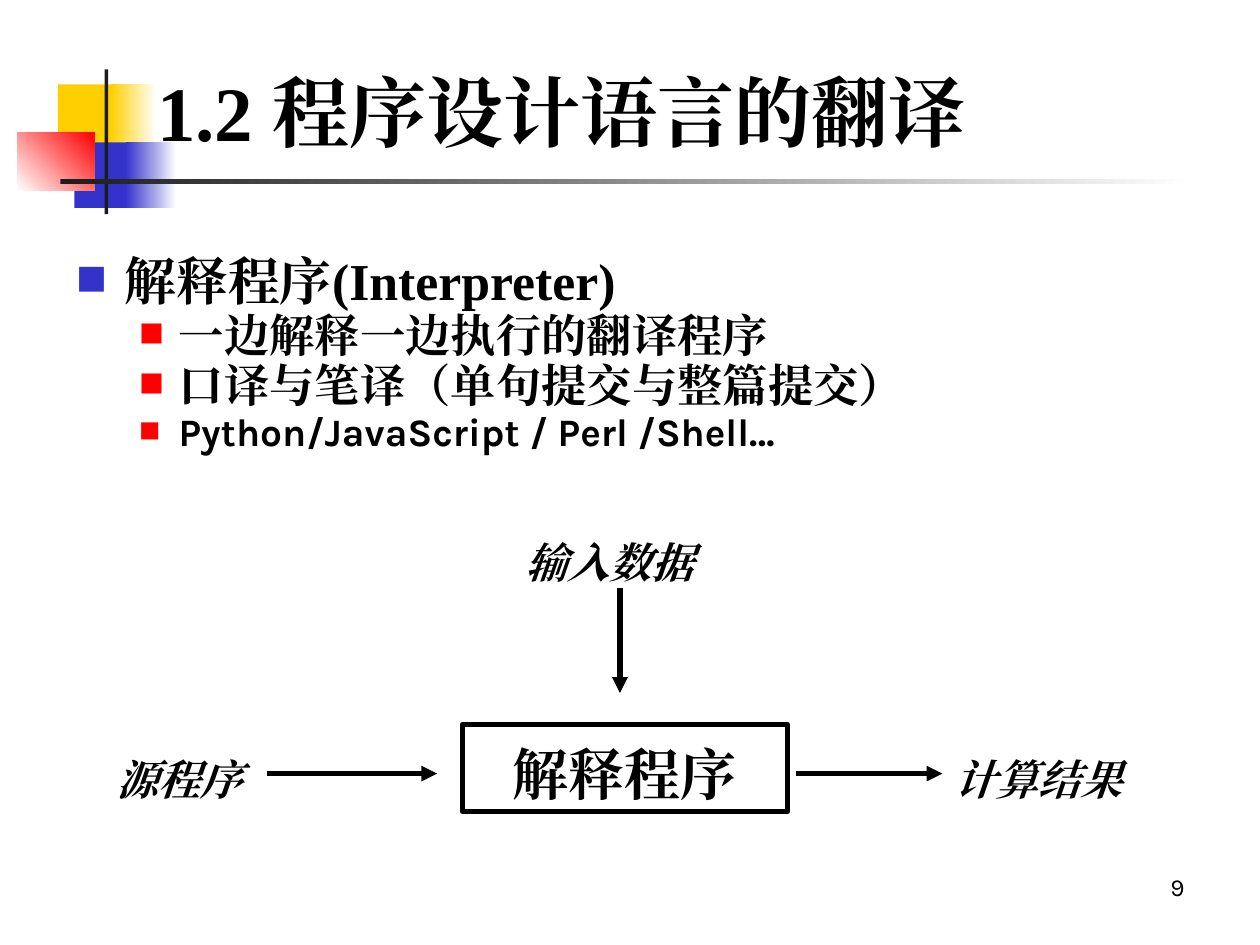
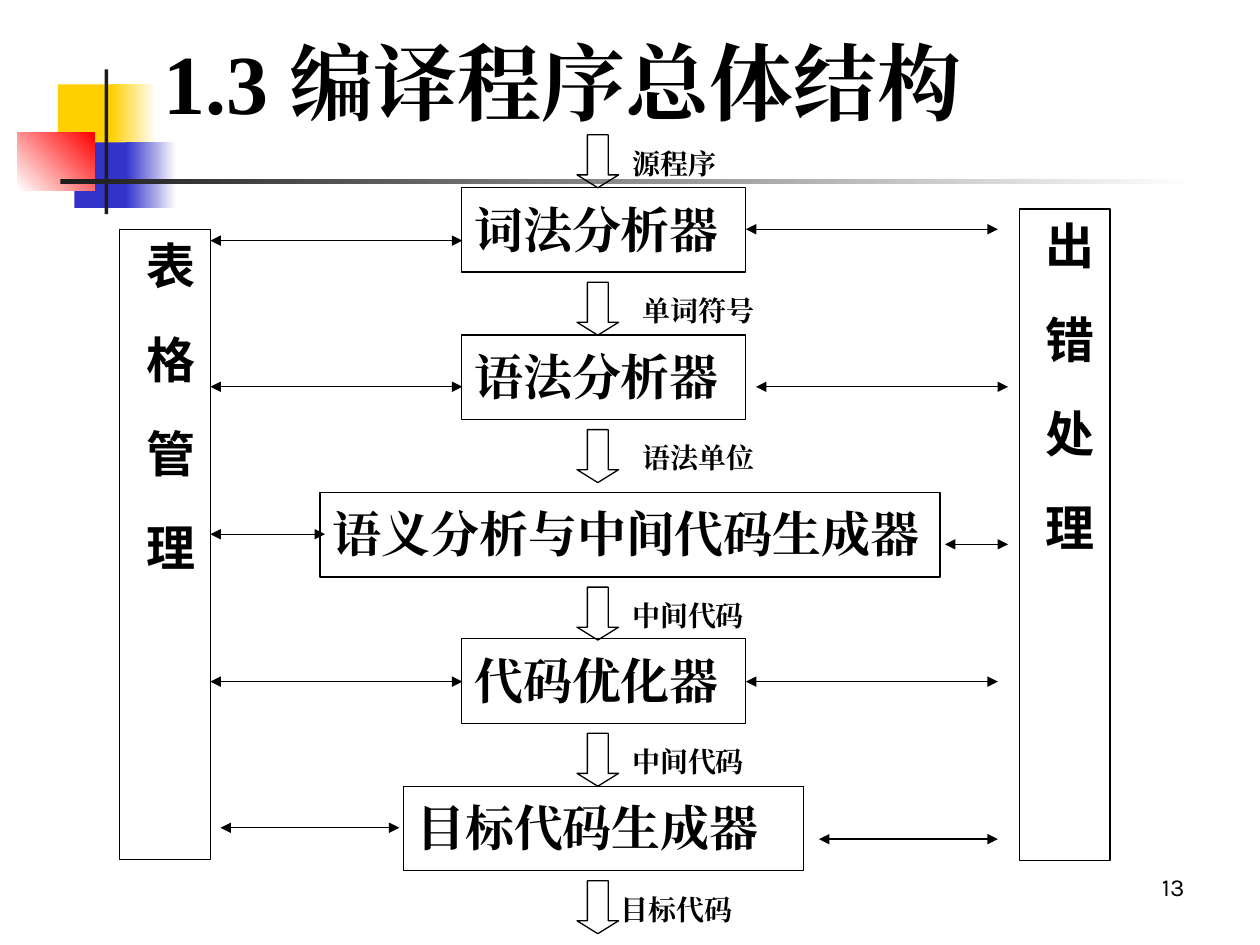
from dataclasses import dataclass

from lxml import etree
from pptx import Presentation
from pptx.dml.color import RGBColor
from pptx.enum.shapes import MSO_CONNECTOR, MSO_SHAPE
from pptx.enum.text import MSO_ANCHOR, PP_ALIGN
from pptx.oxml.ns import qn
from pptx.util import Inches, Pt

RECTANGLE, DOWN_ARROW = MSO_SHAPE.RECTANGLE, MSO_SHAPE.DOWN_ARROW
STRAIGHT = MSO_CONNECTOR.STRAIGHT
TOP, MIDDLE = MSO_ANCHOR.TOP, MSO_ANCHOR.MIDDLE
LEFT, CENTER, RIGHT = PP_ALIGN.LEFT, PP_ALIGN.CENTER, PP_ALIGN.RIGHT


@dataclass(frozen=True)
class Theme:
    """Colours, fonts, type sizes and line widths of the deck."""
    black: str = "000000"
    white: str = "FFFFFF"
    yellow: str = "FFCF01"
    blue: str = "3333CC"
    red: str = "FF0000"
    ink: str = "1C1C1C"
    serif: str = "Times New Roman"
    sans: str = "Karla"
    chinese: str = "Noto Sans CJK SC"
    number: float = 14
    flow_label: float = 16
    stage: float = 28
    diagram_label: float = 24
    interpreter: float = 32
    thin: float = 0.75
    thick: float = 3


THEME = Theme()


def color(value):
    """Turn a hex string into a colour."""
    return RGBColor.from_string(value)


def add_run(paragraph, text, size, font=THEME.serif, bold=True, italic=False, spacing=0):
    """Add one run with its font, and letter spacing in points."""
    run = paragraph.add_run()
    run.text = text
    run.font.name = font
    run.font.size = Pt(size)
    run.font.bold = bold
    run.font.italic = italic
    run.font.color.rgb = color(THEME.black)
    properties = run._r.get_or_add_rPr()
    if spacing:
        properties.set("spc", str(int(spacing * 100)))
    east_asian = etree.Element(qn("a:ea"), typeface=font)
    properties.find(qn("a:latin")).addnext(east_asian)


def prepare_frame(shape, anchor=TOP, align=LEFT, top=0.09):
    """Set up a wrapping text frame and return it."""
    frame = shape.text_frame
    frame.word_wrap = True
    frame.vertical_anchor = anchor
    frame.margin_left = frame.margin_right = Inches(0.1)
    frame.margin_top, frame.margin_bottom = Inches(top), Inches(0.05)
    frame.paragraphs[0].alignment = align
    return frame


def add_label(slide, box, text, size, anchor=TOP, align=LEFT, **style):
    """Place a one-line text box."""
    shape = slide.shapes.add_textbox(*map(Inches, box))
    frame = prepare_frame(shape, anchor, align)
    add_run(frame.paragraphs[0], text, size, **style)


def add_outline(slide, box, width=THEME.thin, kind=RECTANGLE):
    """Place an unfilled shape with a black outline."""
    shape = slide.shapes.add_shape(kind, *map(Inches, box))
    shape.shadow.inherit = False
    shape.fill.background()
    shape.line.color.rgb = color(THEME.black)
    shape.line.width = Pt(width)
    return shape


def add_arrow(slide, start, end, width=THEME.thin, both_ends=False):
    """Draw a straight arrow between two points."""
    connector = slide.shapes.add_connector(STRAIGHT, *map(Inches, start + end))
    connector.line.color.rgb = color(THEME.black)
    connector.line.width = Pt(width)
    line = connector.line._get_or_add_ln()
    for tag in ("a:headEnd", "a:tailEnd") if both_ends else ("a:tailEnd",):
        etree.SubElement(line, qn(tag), type="triangle")
    etree.SubElement(connector._element.spPr, qn("a:effectLst"))


def add_block(slide, box, start, end=None, angle=0):
    """Place a borderless block with a plain or gradient fill."""
    shape = slide.shapes.add_shape(RECTANGLE, *map(Inches, box))
    shape.shadow.inherit = False
    shape.line.fill.background()
    if end is None:
        shape.fill.solid()
        shape.fill.fore_color.rgb = color(start)
        return
    shape.fill.gradient()
    shape.fill.gradient_angle = angle
    for stop, value, position in zip(shape.fill.gradient_stops, (start, end), (0, 1)):
        stop.color.rgb = color(value)
        stop.position = position


def add_decoration(slide, left, top):
    """Draw the coloured blocks and rules beside the title."""
    blocks = [
        ((0.32, 0.12, 0.48, 0.52), THEME.yellow),
        ((0.74, 0.12, 0.36, 0.52), THEME.yellow, THEME.white),
        ((0.45, 0.58, 0.46, 0.52), THEME.blue),
        ((0.86, 0.58, 0.40, 0.52), THEME.blue, THEME.white),
        ((0, 0.5, 0.61, 0.46), THEME.white, THEME.red, 45),
        ((0.69, 0, 0.03, 1.15), THEME.ink),
        ((0.34, 0.87, 9, 0.04), THEME.ink, THEME.white),
    ]
    for (x, y, width, height), *fill in blocks:
        add_block(slide, (left + x, top + y, width, height), *fill)


def start_slide(presentation, title, title_box, title_size, number):
    """Add a slide with decoration, page number and title."""
    slide = presentation.slides.add_slide(presentation.slide_layouts[6])
    add_decoration(slide, 0.14, 0.55)
    add_label(slide, (7.17, 6.83, 2.33, 0.52), number, THEME.number,
              align=RIGHT, font=THEME.sans, bold=False)
    add_label(slide, title_box, title, title_size, anchor=MIDDLE)
    return slide


def add_bullet(paragraph, level, indent, hanging, bullet_color, percent):
    """Give a paragraph a square bullet and a hanging indent."""
    paragraph.level = level
    properties = paragraph._p.get_or_add_pPr()
    properties.set("marL", str(Inches(indent)))
    properties.set("indent", str(-Inches(hanging)))
    holder = etree.SubElement(properties, qn("a:buClr"))
    etree.SubElement(holder, qn("a:srgbClr"), val=bullet_color)
    etree.SubElement(properties, qn("a:buSzPct"), val=str(percent * 1000))
    etree.SubElement(properties, qn("a:buFont"), typeface=THEME.chinese)
    etree.SubElement(properties, qn("a:buChar"), char="■")


def add_outline_text(slide, box):
    """Write the bulleted points about the interpreter."""
    heading = (0, 0.38, 0.38, THEME.blue, 60)
    point = (1, 0.81, 0.31, THEME.red, 55)
    lines = [
        ("解释程序(Interpreter)", heading, 29.6, 8, THEME.serif),
        ("一边解释一边执行的翻译程序", point, 25.9, 7, THEME.serif),
        ("口译与笔译（单句提交与整篇提交）", point, 25.9, 7, THEME.serif),
        ("Python/JavaScript / Perl /Shell…", point, 22.2, 6, THEME.sans),
    ]
    frame = prepare_frame(slide.shapes.add_textbox(*map(Inches, box)))
    for index, (text, bullet, size, space, font) in enumerate(lines):
        paragraph = frame.add_paragraph() if index else frame.paragraphs[0]
        paragraph.line_spacing = 0.7
        paragraph.space_before = Pt(space)
        add_bullet(paragraph, *bullet)
        add_run(paragraph, text, size, font)


def add_interpreter_diagram(slide, left, top):
    """Draw the interpreter with its inputs and its result."""
    for x, y, width, text in [(0, 1.72, 1.29, "源程序"),
                              (3.24, 0, 1.68, "输入数据"),
                              (6.65, 1.72, 1.69, "计算结果")]:
        add_label(slide, (left + x, top + y, width, 0.5), text,
                  THEME.diagram_label, italic=True)
    for x1, y1, x2, y2 in [(1.29, 1.97, 2.64, 1.97),
                           (5.49, 1.97, 6.65, 1.97),
                           (4.09, 0.5, 4.09, 1.33)]:
        add_arrow(slide, (left + x1, top + y1), (left + x2, top + y2), THEME.thick)
    shape = add_outline(slide, (left + 2.84, top + 1.58, 2.58, 0.69), THEME.thick)
    frame = prepare_frame(shape, MIDDLE, CENTER, top=0.13)
    add_run(frame.paragraphs[0], "解释程序", THEME.interpreter)


def add_side_bar(slide, box, text):
    """Draw a tall box with widely spaced vertical text."""
    shape = add_outline(slide, box)
    frame = prepare_frame(shape, TOP, CENTER)
    frame.margin_left = frame.margin_right = Inches(0.05)
    frame.margin_top = frame.margin_bottom = Inches(0.1)
    frame._txBody.bodyPr.set("vert", "eaVert")
    paragraph = frame.paragraphs[0]
    paragraph.line_spacing = 1.1
    paragraph.space_before = Pt(17.5)
    add_run(paragraph, text[:-1], THEME.stage, THEME.chinese, spacing=25.7)
    add_run(paragraph, text[-1], THEME.stage, THEME.chinese)


def add_stages(slide, center, top):
    """Draw the compiler stages from top to bottom."""
    stages = [
        ("词法分析器", 0, 2.25),
        ("语法分析器", 1.17, 2.25),
        ("语义分析与中间代码生成器", 2.42, 4.92),
        ("代码优化器", 3.58, 2.25),
        ("目标代码生成器", 4.75, 3.17),
    ]
    for text, y, width in stages:
        left = center + (0.25 if width == 4.92 else 0.04) - width / 2
        shape = add_outline(slide, (left, top + y, width, 0.67))
        add_run(prepare_frame(shape).paragraphs[0], text, THEME.stage)


def add_flows(slide, center, top):
    """Draw the block arrows between stages with what they carry."""
    flows = [
        ("源程序", 0, 0.17),
        ("单词符号", 1.17, 0.25),
        ("语法单位", 2.34, 0.25),
        ("中间代码", 3.59, 0.17),
        ("中间代码", 4.75, 0.17),
        ("目标代码", 5.92, 0.08),
    ]
    for text, y, offset in flows:
        arrow = add_outline(slide, (center - 0.17, top + y, 0.33, 0.42), kind=DOWN_ARROW)
        arrow.adjustments[0], arrow.adjustments[1] = 0.5, 0.31
        add_label(slide, (center + offset, top + y, 1.33, 0.33), text, THEME.flow_label)


def add_exchanges(slide, links):
    """Draw level two-headed arrows between stages and side bars."""
    for start, end, y in links:
        add_arrow(slide, (start, y), (end, y), both_ends=True)


def build_interpreter_slide(presentation):
    """Build the slide on translating programming languages."""
    slide = start_slide(presentation, "1.2 程序设计语言的翻译",
                        (1.15, 0.44, 7.47, 0.83), 44, "9")
    add_outline_text(slide, (0.51, 2.02, 9.28, 1.67))
    add_interpreter_diagram(slide, 0.83, 4.17)


def build_compiler_slide(presentation):
    """Build the slide on the overall structure of a compiler."""
    slide = start_slide(presentation, "1.3 编译程序总体结构",
                        (1.2, 0.25, 8.06, 0.75), 48, "13")
    add_stages(slide, 4.75, 1.49)
    add_side_bar(slide, (0.95, 1.82, 0.72, 5), "表格管理")
    add_exchanges(slide, [(1.67, 3.67, 1.91), (1.67, 3.67, 3.07), (1.67, 2.58, 4.24),
                          (1.67, 3.67, 5.41), (1.75, 3.17, 6.57)])
    add_side_bar(slide, (8.09, 1.66, 0.72, 5.17), "出错处理")
    add_exchanges(slide, [(5.92, 7.92, 1.82), (6, 8, 3.07), (7.5, 8, 4.32),
                          (5.92, 7.92, 5.41), (6.5, 7.92, 6.66)])
    add_flows(slide, 4.75, 1.07)


def main():
    """Build and save the presentation."""
    presentation = Presentation()
    presentation.slide_width, presentation.slide_height = Inches(10), Inches(7.5)
    build_interpreter_slide(presentation)
    build_compiler_slide(presentation)
    presentation.save("out.pptx")


if __name__ == "__main__":
    main()
